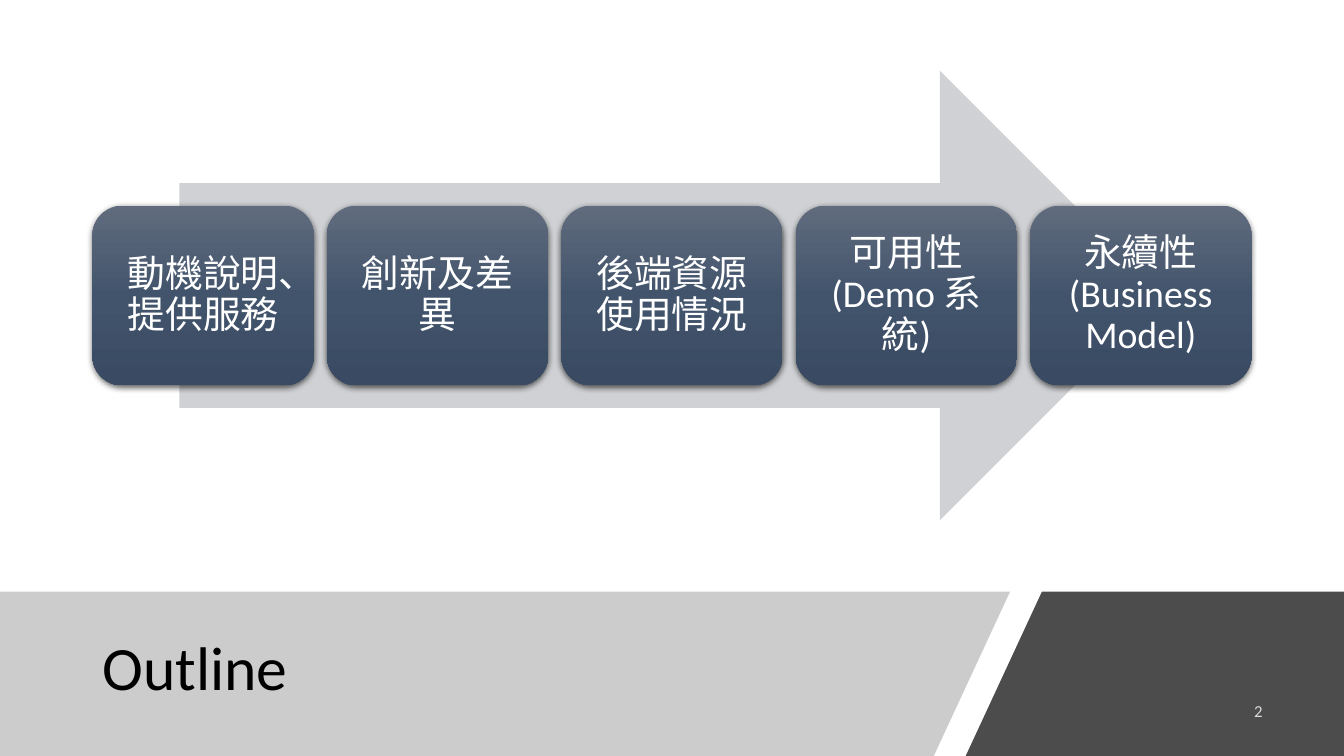
from lxml.etree import SubElement
from pptx import Presentation
from pptx.dml.color import RGBColor
from pptx.enum.shapes import MSO_SHAPE
from pptx.enum.text import MSO_ANCHOR, MSO_AUTO_SIZE, PP_ALIGN
from pptx.oxml import parse_xml
from pptx.oxml.ns import nsdecls, qn
from pptx.util import Pt

COLORS = {
    "black": "000000",
    "white": "FFFFFF",
    "gray": "808080",
    "arrow": "CFD1D4",
    "card_top": "606B7D",
    "card_middle": "42546C",
    "card_bottom": "394A62",
}
FONT = "Calibri"
STEPS = ["動機說明、提供服務", "創新及差異", "後端資源使用情況", "可用性(Demo 系統)", "永續性(Business Model)"]


def set_alpha(fill, percent):
    """Make a solid fill partly transparent."""
    color = fill._xPr.find(qn("a:solidFill"))[0]
    SubElement(color, qn("a:alpha"), val=str(percent * 1000))


def write_text(shape, text, size, color, align=PP_ALIGN.LEFT, margin=None, spacing=None, alpha=None):
    """Put one formatted paragraph, vertically centred, in a shape."""
    frame = shape.text_frame
    frame.word_wrap = True
    frame.auto_size = MSO_AUTO_SIZE.NONE
    frame.vertical_anchor = MSO_ANCHOR.MIDDLE
    if margin is not None:
        frame.margin_left = frame.margin_right = Pt(margin)
        frame.margin_top = frame.margin_bottom = Pt(margin)
    para = frame.paragraphs[0]
    para.alignment = align
    para.line_spacing = spacing
    span = para.add_run()
    span.text = text
    span.font.name = FONT
    span.font.size = Pt(size)
    span.font.color.rgb = RGBColor.from_string(COLORS[color])
    if alpha is not None:
        set_alpha(span.font.fill, alpha)


def add_band(page, points, color, alpha):
    """Draw a translucent polygon through the given points."""
    corners = [(Pt(x), Pt(y)) for x, y in points]
    builder = page.shapes.build_freeform(*corners[0])
    builder.add_line_segments(corners[1:])
    band = builder.convert_to_shape()
    band.shadow.inherit = False
    band.fill.solid()
    band.fill.fore_color.rgb = RGBColor.from_string(COLORS[color])
    set_alpha(band.fill, alpha)
    band.line.fill.background()


def add_card(page, text, left, top, width, height):
    """Draw one rounded step card with a gradient and a soft shadow."""
    card = page.shapes.add_shape(
        MSO_SHAPE.ROUNDED_RECTANGLE, Pt(left), Pt(top), Pt(width), Pt(height))
    names = ["card_top", "card_middle", "card_bottom"]
    stops = "".join(
        f'<a:gs pos="{index * 50000}"><a:srgbClr val="{COLORS[name]}"/></a:gs>'
        for index, name in enumerate(names))
    properties = card._element.spPr
    properties.append(parse_xml(
        f'<a:gradFill {nsdecls("a")} rotWithShape="1"><a:gsLst>{stops}</a:gsLst>'
        '<a:lin ang="5400000" scaled="0"/></a:gradFill>'))
    card.line.fill.background()
    properties.append(parse_xml(
        f'<a:effectLst {nsdecls("a")}><a:outerShdw blurRad="{Pt(4.5)}" dist="{Pt(1.5)}" '
        f'dir="5400000" algn="ctr" rotWithShape="0"><a:srgbClr val="{COLORS["black"]}">'
        '<a:alpha val="63000"/></a:srgbClr></a:outerShdw></a:effectLst>'))
    write_text(card, text, 27, "white", align=PP_ALIGN.CENTER, margin=8, spacing=0.9)


def add_process(page, left, top, width, height):
    """Draw the arrow and the row of step cards across it."""
    arrow_width = width * 0.85
    arrow = page.shapes.add_shape(
        MSO_SHAPE.RIGHT_ARROW, Pt(left + (width - arrow_width) / 2), Pt(top),
        Pt(arrow_width), Pt(height))
    arrow.shadow.inherit = False
    arrow.fill.solid()
    arrow.fill.fore_color.rgb = RGBColor.from_string(COLORS["arrow"])
    arrow.line.fill.background()
    gap = 9.2
    card_width = (width - gap * (len(STEPS) - 1)) / len(STEPS)
    for index, text in enumerate(STEPS):
        add_card(page, text, left + index * (card_width + gap), top + height * 0.3,
                 card_width, height * 0.4)


def add_footer(page, left, top, width, height):
    """Draw the slanted bands with the title and the page number."""
    right, bottom = left + width, top + height
    slant = 54.5
    light_right, dark_left = left + 721.5, left + 744.3
    add_band(page, [(left, top), (light_right, top), (light_right - slant, bottom),
                    (left, bottom)], "gray", 40)
    add_band(page, [(dark_left, top), (right, top), (right, bottom),
                    (dark_left - slant, bottom)], "black", 70)
    title = page.shapes.title
    page.shapes._spTree.append(title._element)
    title.left, title.top = Pt(left + 66), Pt(top + 13)
    title.width, title.height = Pt(608), Pt(86.4)
    write_text(title, "Outline", 44, "black", spacing=0.9)
    number = page.shapes.add_textbox(
        Pt(right - 157), Pt(top + 70.5), Pt(106), Pt(28.8))
    write_text(number, "2", 12, "white", align=PP_ALIGN.RIGHT, alpha=80)


def main():
    """Build and save the deck."""
    deck = Presentation()
    deck.slide_width, deck.slide_height = Pt(960), Pt(540)
    page = deck.slides.add_slide(deck.slide_layouts[5])
    add_footer(page, 0, 422.6, 960, 117.4)
    add_process(page, 66, 50.5, 828, 321.2)
    deck.save("out.pptx")


if __name__ == "__main__":
    main()
